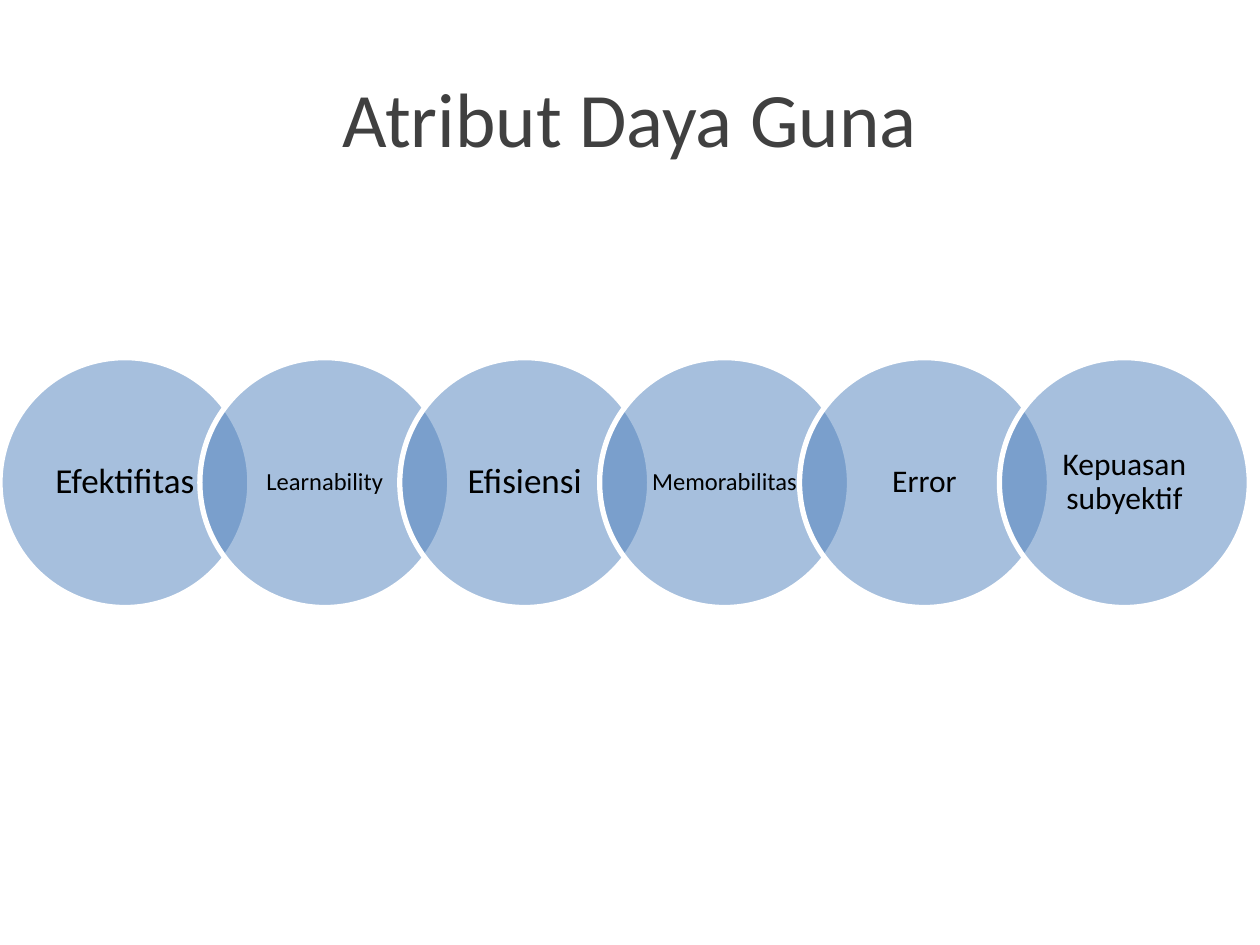
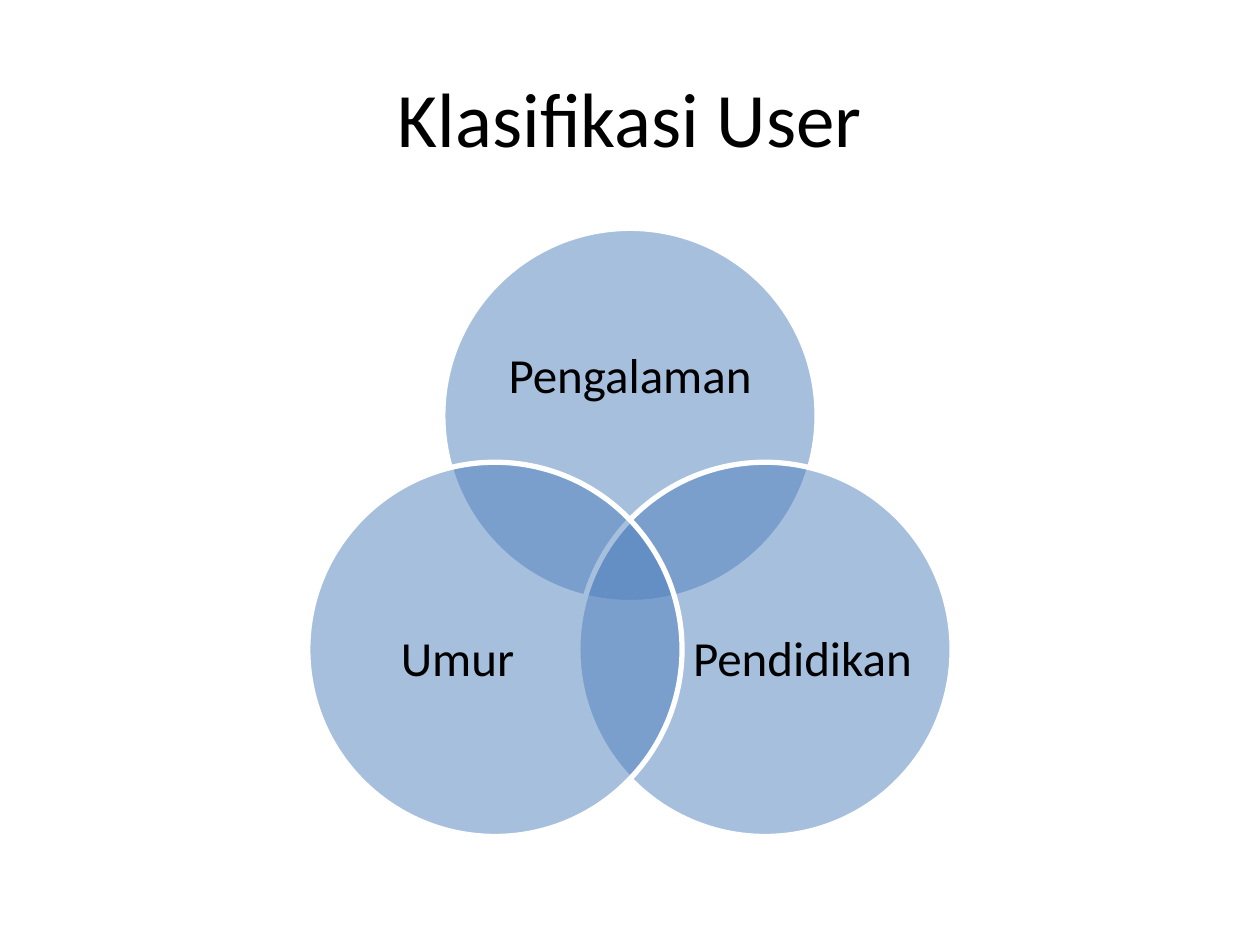
from dataclasses import dataclass
from math import cos, radians, sin

from lxml import etree
from pptx import Presentation
from pptx import util as u
from pptx.dml.color import RGBColor
from pptx.enum import shapes, text
from pptx.oxml.ns import qn

COLS = 100  # square cells, 75 rows


@dataclass(frozen=True)
class Theme:
    font: str = "Calibri"
    disc: str = "4F81BD"
    edge: str = "FFFFFF"
    ink: str = "000000"
    soft: str = "404040"
    alpha: int = 50
    rim: float = 3
    head: int = 44
    big: int = 28
    mid: int = 20
    low: int = 18
    tiny: int = 14


class Deck:
    def __init__(self, theme):
        self.theme = theme
        self.prs = Presentation()
        self.prs.slide_width, self.prs.slide_height = u.Inches(10), u.Inches(7.5)
        self.cell = self.prs.slide_width // COLS
        self.slide = None

    def box(self, x, y, w, h):
        """Frame in slide units for a box centred on column x and row y."""
        return [round(n * self.cell) for n in (x - w / 2, y - h / 2, w, h)]

    def put(self, frame, words, size, color):
        """Add centred words to a text frame."""
        frame.word_wrap = True
        frame.vertical_anchor = text.MSO_ANCHOR.MIDDLE
        para = frame.paragraphs[0]
        para.alignment = text.PP_ALIGN.CENTER
        run = para.add_run()
        run.text = words
        run.font.name, run.font.size = self.theme.font, u.Pt(size)
        run.font.color.rgb = RGBColor.from_string(color)
        return para

    def page(self, words, color):
        """Start a slide with its title."""
        self.slide = self.prs.slides.add_slide(self.prs.slide_layouts[5])
        title = self.slide.shapes.title
        title.left, title.top, title.width, title.height = self.box(COLS / 2, 9.25, 90, 12.5)
        self.put(title.text_frame, words, self.theme.head, color)

    def disc(self, x, y, d):
        """Draw a see-through circle of diameter d."""
        disc = self.slide.shapes.add_shape(shapes.MSO_SHAPE.OVAL, *self.box(x, y, d, d))
        disc.shadow.inherit = False
        disc.fill.solid()
        disc.fill.fore_color.rgb = RGBColor.from_string(self.theme.disc)
        tint = disc.element.spPr.find(qn("a:solidFill"))[0]
        etree.SubElement(tint, qn("a:alpha"), val=str(self.theme.alpha * 1000))
        disc.line.color.rgb = RGBColor.from_string(self.theme.edge)
        disc.line.width = u.Pt(self.theme.rim)

    def label(self, x, y, w, h, words, size, pad=0):
        frame = self.slide.shapes.add_textbox(*self.box(x, y, w, h)).text_frame
        frame.margin_left = frame.margin_right = round(pad * self.cell)
        frame.margin_top = frame.margin_bottom = 0
        self.put(frame, words, size, self.theme.ink).line_spacing = 0.9


def chain(deck):
    """Row of circles, each overlapping the next by a fifth."""
    t = deck.theme
    deck.page("Atribut Daya Guna", t.soft)
    traits = [("Efektifitas", t.mid), ("Learnability", t.tiny), ("Efisiensi", t.mid),
              ("Memorabilitas", t.tiny), ("Error", t.low), ("Kepuasan subyektif", t.low)]
    d, y = 19.83, 38.3
    inner = d * sin(radians(45))  # side of the inscribed square
    for i, (words, size) in enumerate(traits):
        x = d / 2 + i * 0.8 * d
        deck.disc(x, y, d)
        deck.label(x, y, inner, inner, words, size, pad=1.1)


def venn(deck):
    """Three circles around a hub; label shifts and sizes are shares of d."""
    deck.page("Klasifikasi User", deck.theme.ink)
    d, hub = 29.7, 45.35
    reach = d / 2.4
    groups = [("Pengalaman", 0, -0.1, 0.73, 0.45),
              ("Pendidikan", 0.1, 0.03, 0.6, 0.55),
              ("Umur", -0.1, 0.03, 0.6, 0.55)]
    for i, (words, dx, dy, w, h) in enumerate(groups):
        turn = radians(120 * i - 90)
        x, y = COLS / 2 + reach * cos(turn), hub + reach * sin(turn)
        deck.disc(x, y, d)
        deck.label(x + dx * d, y + dy * d, w * d, h * d, words, deck.theme.big)


def main():
    deck = Deck(Theme())
    chain(deck)
    venn(deck)
    deck.prs.save("out.pptx")


if __name__ == "__main__":
    main()
